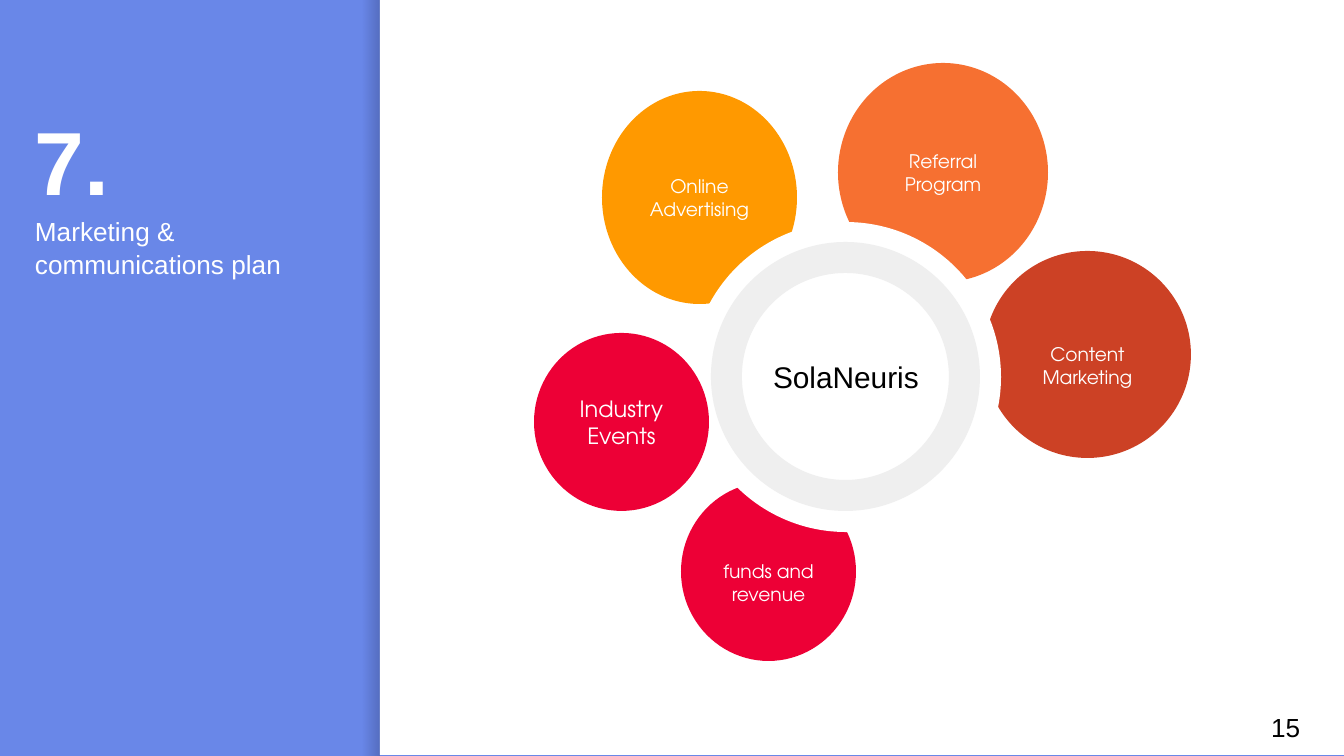
from lxml.etree import SubElement
from pptx import Presentation
from pptx.dml.color import RGBColor
from pptx.enum.shapes import MSO_SHAPE
from pptx.enum.text import MSO_ANCHOR, PP_ALIGN
from pptx.oxml.ns import qn
from pptx.util import Emu, Pt

BLUE = RGBColor(0x69, 0x87, 0xE8)
NAVY = RGBColor(0x00, 0x00, 0x14)
WHITE = RGBColor(0xFF, 0xFF, 0xFF)
BLACK = RGBColor(0x00, 0x00, 0x00)
AMBER = RGBColor(0xFF, 0x99, 0x00)
ORANGE = RGBColor(0xF6, 0x70, 0x31)
RUST = RGBColor(0xCC, 0x41, 0x25)
RED = RGBColor(0xED, 0x00, 0x36)
GREY = RGBColor(0xEF, 0xEF, 0xEF)

BODY_FONT = "Arial"
BUBBLE_FONT = "TeX Gyre Adventor"
SCALE = 914400 / 134.4
INSET = 13


def px(length):
    return Emu(round(length * SCALE))


class SlideBuilder:
    """Draws styled elements on one slide, measured in pixels."""

    def __init__(self, slide):
        self.slide = slide

    def background(self, color):
        fill = self.slide.background.fill
        fill.solid()
        fill.fore_color.rgb = color

    def shape(self, kind, box, color):
        shape = self.slide.shapes.add_shape(kind, *map(px, box))
        shape.shadow.inherit = False
        shape.line.fill.background()
        shape.fill.solid()
        shape.fill.fore_color.rgb = color
        return shape

    def edge_shade(self, box, color, opacities):
        shape = self.shape(MSO_SHAPE.RECTANGLE, box, color)
        shape.fill.gradient()
        shape.fill.gradient_angle = 0
        for stop in shape.fill.gradient_stops:
            stop.color.rgb = color
        colors = shape.element.spPr.iter(qn("a:srgbClr"))
        for element, opacity in zip(colors, opacities):
            SubElement(element, qn("a:alpha")).set("val", str(opacity * 1000))

    def ring(self, box, color, thickness):
        ring = self.shape(MSO_SHAPE.DONUT, box, color)
        ring.adjustments[0] = thickness / box[2]

    def frame(self, shape, anchor, side=INSET, top=INSET):
        frame = shape.text_frame
        frame.word_wrap = True
        frame.vertical_anchor = anchor
        frame.margin_left = frame.margin_right = px(side)
        frame.margin_top, frame.margin_bottom = px(top), px(INSET)
        return frame.paragraphs[0]

    def run(self, paragraph, text, size, color, font=BODY_FONT, bold=False):
        run = paragraph.add_run()
        run.text = text
        run.font.name = font
        run.font.size = Pt(size)
        run.font.bold = bold
        run.font.color.rgb = color

    def text_box(self, box, anchor, side=INSET):
        shape = self.slide.shapes.add_textbox(*map(px, box))
        return self.frame(shape, anchor, side)

    def bubble(self, box, color, text, size, text_color=WHITE, font=BUBBLE_FONT, drop=0):
        shape = self.shape(MSO_SHAPE.OVAL, box, color)
        paragraph = self.frame(shape, MSO_ANCHOR.MIDDLE, top=INSET + drop)
        paragraph.alignment = PP_ALIGN.CENTER
        self.run(paragraph, text, size, text_color, font)


presentation = Presentation()
presentation.slide_width, presentation.slide_height = px(1344), px(756)
builder = SlideBuilder(presentation.slides.add_slide(presentation.slide_layouts[6]))

builder.background(BLUE)
builder.edge_shade((363, 0, 17, 756), NAVY, (0, 20))
builder.shape(MSO_SHAPE.RECTANGLE, (380, 0, 964, 755), WHITE)

title = builder.text_box((35, 85, 301, 585), MSO_ANCHOR.TOP, side=0)
title.line_spacing = 1.07
builder.run(title, "7.", 48, WHITE, bold=True)
title.add_line_break()
builder.run(title, "Marketing & communications plan", 14, WHITE)

page_number = builder.text_box((1258, 698, 81, 58), MSO_ANCHOR.MIDDLE)
builder.run(page_number, "15", 14, BLACK)

channels = [
    ((602, 91, 195, 213), AMBER, "Online Advertising", 0),
    ((838, 63, 210, 219), ORANGE, "Referral Program", 0),
    ((984, 251, 207, 207), RUST, "Content Marketing", 22),
    ((681, 482, 175, 179), RED, "funds and revenue", 22),
]
for box, color, label, drop in channels:
    builder.bubble(box, color, label, 10, drop=drop)

builder.bubble((691, 222, 310, 310), WHITE, "SolaNeuris", 16, BLACK, BODY_FONT)
builder.ring((711, 242, 269, 269), GREY, 31)
builder.bubble((534, 333, 175, 178), RED, "Industry Events", 12)

presentation.save("out.pptx")
